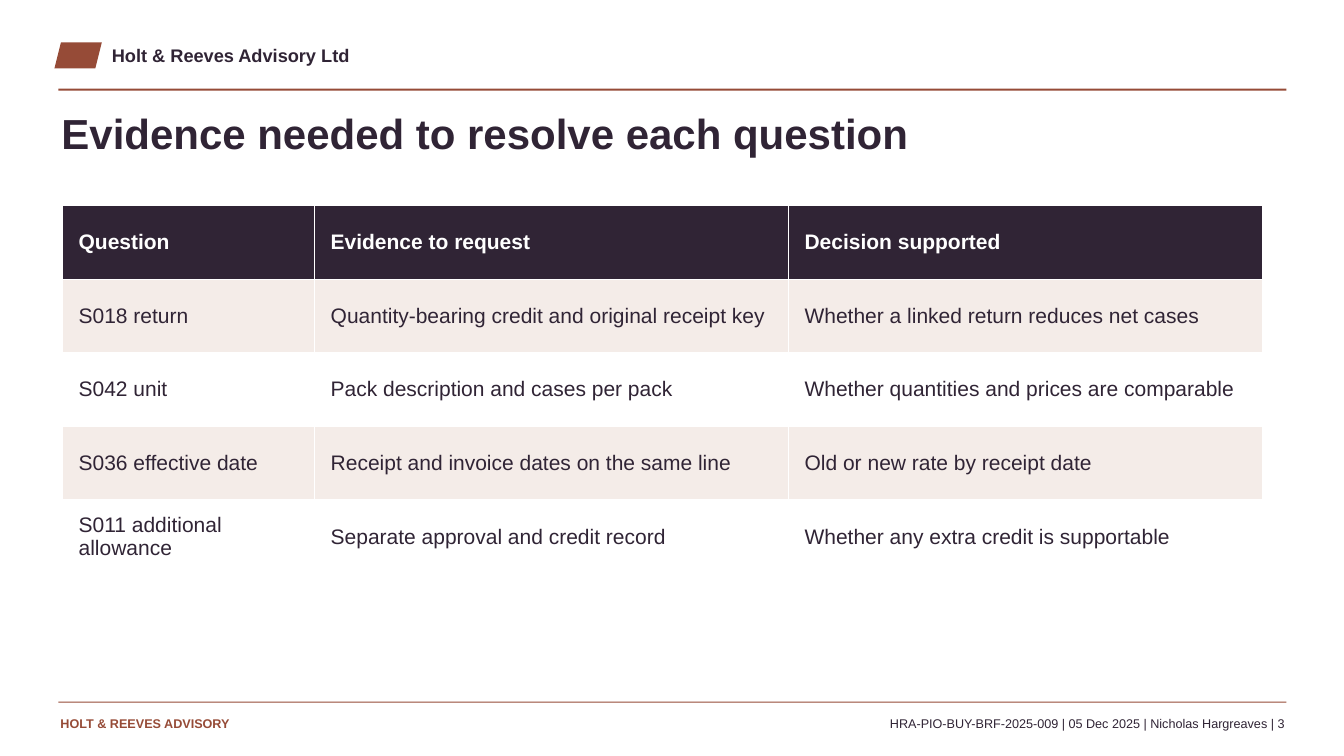
"""Build the evidence slide with its header, table and footer."""
from dataclasses import dataclass

from pptx import Presentation
from pptx import util as u
from pptx.dml.color import RGBColor
from pptx.enum import shapes, text

PLUM = RGBColor(0x30, 0x24, 0x35)
RUST = RGBColor(0x96, 0x4B, 0x37)
BLUSH = RGBColor(0xF4, 0xEC, 0xE8)
WHITE = RGBColor(0xFF, 0xFF, 0xFF)
EMU_PER_PX = 9144


@dataclass(frozen=True)
class Box:
    x: int
    y: int
    w: int
    h: int

    def emu(self) -> tuple:
        return tuple(px(v) for v in (self.x, self.y, self.w, self.h))


@dataclass(frozen=True)
class Block:
    box: Box
    kind: shapes.MSO_SHAPE
    fill: RGBColor


@dataclass(frozen=True)
class Label:
    box: Box
    words: str
    size: int
    color: RGBColor = PLUM
    bold: bool = True
    align: text.PP_ALIGN = text.PP_ALIGN.LEFT


BLOCKS = [
    Block(Box(54, 42, 47, 26), shapes.MSO_SHAPE.PARALLELOGRAM, RUST),
    Block(Box(58, 88, 1218, 2), shapes.MSO_SHAPE.RECTANGLE, RUST),
    Block(Box(58, 696, 1218, 1), shapes.MSO_SHAPE.RECTANGLE, RUST),
]
TITLE = Label(Box(61, 107, 1200, 78), "Evidence needed to resolve each question", 30)
LABELS = [
    Label(Box(111, 44, 600, 27), "Holt & Reeves Advisory Ltd", 13),
    Label(Box(60, 710, 340, 25), "HOLT & REEVES ADVISORY", 9, RUST),
    Label(Box(412, 710, 862, 23),
          "HRA-PIO-BUY-BRF-2025-009 | 05 Dec 2025 | Nicholas Hargreaves | 3",
          9, bold=False, align=text.PP_ALIGN.RIGHT),
]
TABLE_BOX = Box(62, 204, 1190, 365)
COLUMN_WIDTHS = (250, 470, 470)
ROWS = [
    ("Question", "Evidence to request", "Decision supported"),
    ("S018 return", "Quantity-bearing credit and original receipt key",
     "Whether a linked return reduces net cases"),
    ("S042 unit", "Pack description and cases per pack",
     "Whether quantities and prices are comparable"),
    ("S036 effective date", "Receipt and invoice dates on the same line",
     "Old or new rate by receipt date"),
    ("S011 additional allowance", "Separate approval and credit record",
     "Whether any extra credit is supportable"),
]


def px(n: int) -> u.Emu:
    return u.Emu(n * EMU_PER_PX)


def apply(target, formats: dict) -> None:
    for name, value in formats.items():
        setattr(target, name, value)


def set_font(p, size: int, color: RGBColor, bold: bool) -> None:
    for r in p.runs:
        apply(r.font, {"name": "Arial", "size": u.Pt(size), "bold": bold})
        r.font.color.rgb = color


def draw_block(s, block: Block) -> None:
    sp = s.shapes.add_shape(block.kind, *block.box.emu())
    sp.shadow.inherit = False
    sp.fill.solid()
    sp.fill.fore_color.rgb = block.fill
    sp.line.fill.background()


def write_label(sp, label: Label) -> None:
    apply(sp, dict(zip(("left", "top", "width", "height"), label.box.emu())))
    tf = sp.text_frame
    apply(tf, {"text": label.words, "word_wrap": True,
               "auto_size": text.MSO_AUTO_SIZE.NONE,
               "vertical_anchor": text.MSO_ANCHOR.TOP,
               "margin_left": 0, "margin_right": 0,
               "margin_top": 0, "margin_bottom": 0})
    p = tf.paragraphs[0]
    p.alignment = label.align
    set_font(p, label.size, label.color, label.bold)


def draw_table(s) -> None:
    table = s.shapes.add_table(len(ROWS), len(COLUMN_WIDTHS), *TABLE_BOX.emu()).table
    for column, width in zip(table.columns, COLUMN_WIDTHS):
        column.width = px(width)
    for i, row in enumerate(ROWS):
        table.rows[i].height = px(TABLE_BOX.h // len(ROWS))
        header = i == 0
        fill = PLUM if header else BLUSH if i % 2 else WHITE
        for j, words in enumerate(row):
            cell = table.cell(i, j)
            apply(cell, {"text": words, "vertical_anchor": text.MSO_ANCHOR.MIDDLE,
                         "margin_left": px(16), "margin_right": px(16),
                         "margin_top": px(5), "margin_bottom": px(5)})
            cell.fill.solid()
            cell.fill.fore_color.rgb = fill
            set_font(cell.text_frame.paragraphs[0], 15, WHITE if header else PLUM, header)


def main() -> None:
    prs = Presentation()
    apply(prs, {"slide_width": px(1333), "slide_height": px(750)})
    s = prs.slides.add_slide(prs.slide_layouts[5])
    for block in BLOCKS:
        draw_block(s, block)
    write_label(s.shapes.title, TITLE)
    draw_table(s)
    for label in LABELS:
        write_label(s.shapes.add_textbox(*label.box.emu()), label)
    prs.save("out.pptx")


if __name__ == "__main__":
    main()
